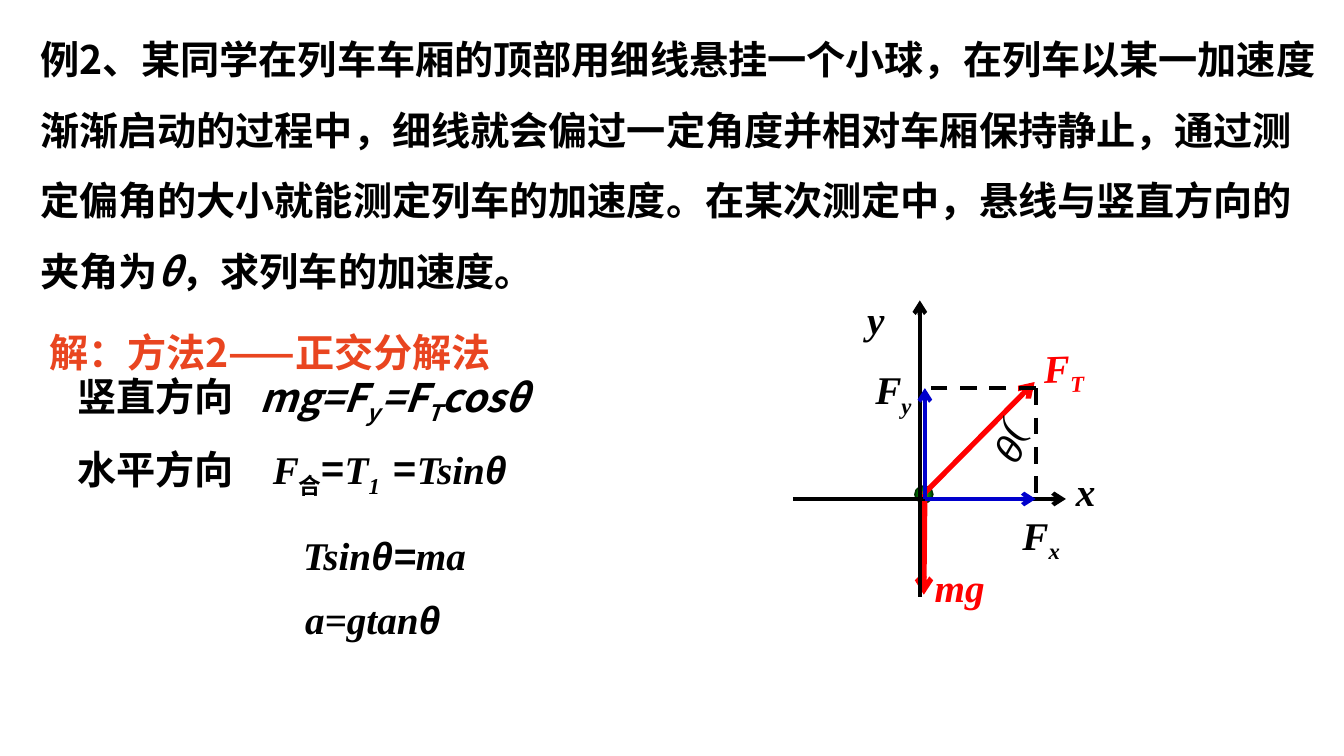
import pptx
import pptx.dml.color
import pptx.enum.dml
import pptx.enum.shapes
import pptx.enum.text
import pptx.oxml
import pptx.oxml.ns
import pptx.util
from lxml import etree

BLACK, RED, BLUE, ORANGE = "000000", "FF0000", "0000CC", "E94520"
HAN, TIMES, ARIAL = "Noto Sans CJK SC", "Times New Roman", "Arial"

deck = pptx.Presentation()
deck.slide_width = pptx.util.Inches(13.34)
deck.slide_height = pptx.util.Inches(7.5)
slide = deck.slides.add_slide(deck.slide_layouts[6])

# Grid of 133.4 columns by 75 rows
COL = deck.slide_width / 133.4
ROW = deck.slide_height / 75


def paint(color_format, hex_color):
    color_format.rgb = pptx.dml.color.RGBColor.from_string(hex_color)


def write(box, runs, color=BLACK, wrap=True, spacing=None, turn=0):
    """Place one paragraph; a run is (text, font, style), with style letters b(old), i(talic), s(ubscript)."""
    left, top, width, height = box
    label = slide.shapes.add_textbox(
        round(left * COL), round(top * ROW), round(width * COL), round(height * ROW))
    label.rotation = turn
    frame = label.text_frame
    frame.word_wrap = wrap
    paragraph = frame.paragraphs[0]
    if spacing:
        paragraph.line_spacing = spacing
        frame.auto_size = pptx.enum.text.MSO_AUTO_SIZE.SHAPE_TO_FIT_TEXT
    for text, font_name, style in runs:
        run = paragraph.add_run()
        run.text = text
        run.font.size = pptx.util.Pt(28)
        run.font.bold = "b" in style
        run.font.italic = "i" in style
        paint(run.font.color, color)
        run.font.name = font_name
        properties = run._r.get_or_add_rPr()
        etree.SubElement(properties, pptx.oxml.ns.qn("a:ea"), typeface=font_name)
        if "s" in style:
            properties.set("baseline", "-25000")


# Problem statement and heading
write((3, 0.7, 129.1, 29.3), [
    ("例2、某同学在列车车厢的顶部用细线悬挂一个小球，在列车以某一加速度渐渐启动的过程中，"
     "细线就会偏过一定角度并相对车厢保持静止，通过测定偏角的大小就能测定列车的加速度。"
     "在某次测定中，悬线与竖直方向的夹角为", HAN, "b"),
    ("θ", HAN, "bi"),
    ("，求列车的加速度。", HAN, "b")], spacing=1.5)
write((3.9, 29.7, 79.3, 8.1), [("解：方法2——正交分解法", HAN, "b")], ORANGE, spacing=1.5)

# Ball at the origin of the axes
ball = slide.shapes.add_shape(
    pptx.enum.shapes.MSO_SHAPE.OVAL,
    round(90.8 * COL), round(48.2 * ROW), round(1.8 * COL), round(1.7 * ROW))
ball.shadow.inherit = False
stops = "".join(f'<a:gs pos="{share * 1000}"><a:srgbClr val="{green}"/></a:gs>'
                for share, green in ((0, "00FF00"), (44, "009900"), (100, "003300")))
ball._element.spPr.prstGeom.addnext(pptx.oxml.parse_xml(
    f'<a:gradFill {pptx.oxml.ns.nsdecls("a")}><a:gsLst>{stops}</a:gsLst><a:path path="shape">'
    '<a:fillToRect l="50000" t="50000" r="50000" b="50000"/></a:path></a:gradFill>'))
paint(ball.line.color, "003300")
ball.line.width = pptx.util.Pt(1)

# Forces, axes, dashed projections and components
origin, corner = (91.8, 49.5), (102.8, 38.5)
foot_x, foot_y = (corner[0], origin[1]), (origin[0], corner[1])
for start, end, color, weight, arrow in (
        ((91.8, 49), (91.7, 59), RED, 3.75, True),
        ((91.7, 49), (102.7, 37.9), RED, 3.75, True),
        ((78.7, 49.5), (105.8, 49.5), BLACK, 3, True),
        ((91.3, 59.2), (91.3, 29.8), BLACK, 3, True),
        (corner, foot_x, BLACK, 3, False),
        (corner, foot_y, BLACK, 3, False),
        (origin, foot_y, BLUE, 3, True),
        (origin, foot_x, BLUE, 3, True)):
    vector = slide.shapes.add_connector(
        pptx.enum.shapes.MSO_CONNECTOR.STRAIGHT,
        round(start[0] * COL), round(start[1] * ROW), round(end[0] * COL), round(end[1] * ROW))
    paint(vector.line.color, color)
    vector.line.width = pptx.util.Pt(weight)
    if arrow:
        etree.SubElement(vector.line._get_or_add_ln(), pptx.oxml.ns.qn("a:tailEnd"), type="arrow")
    else:
        vector.line.dash_style = pptx.enum.dml.MSO_LINE.DASH
    etree.SubElement(vector._element.spPr, pptx.oxml.ns.qn("a:effectLst"))

# Diagram labels
write((91.8, 55.4, 9, 5.7), [("mg", TIMES, "bi")], RED)
write((102.6, 33.6, 7.6, 5.7), [("F", TIMES, "bi"), ("T", TIMES, "bis")], RED, turn=358)
write((85.1, 28.8, 4.3, 5.7), [("y", TIMES, "bi")])
write((105.8, 45.9, 4.3, 5.7), [("x", TIMES, "bi")])
write((100.5, 50.2, 7.1, 5.7), [("F", TIMES, "bi"), ("x", TIMES, "bis")])
write((85.9, 35.8, 6.3, 5.7), [("F", TIMES, "bi"), ("y", TIMES, "bis")])
write((97, 41.8, 6.7, 5.7), [(")", TIMES, "i"), ("θ", ARIAL, "i")], turn=120)

# Solution
write((6.7, 36.4, 31, 5.9), [("竖直方向", HAN, "b")])
write((6.7, 43.7, 25.4, 5.7), [("水平方向", HAN, "b")])
for box, runs in (
        ((24.8, 36.5, 16, 5.7), [("mg=F", HAN, "bi"), ("y", HAN, "bis")]),
        ((36.9, 36.5, 20, 5.7), [("=F", HAN, "bi"), ("T", HAN, "bis"), ("cosθ", HAN, "bi")]),
        ((26.1, 43.7, 17, 5.7), [("F", TIMES, "bi"), ("合", HAN, "bs"), ("=", HAN, "b"),
                                 ("T", TIMES, "bi"), ("1", TIMES, "bis")]),
        ((38.1, 43.7, 17, 5.7), [("=", HAN, "b"), ("Tsin", TIMES, "bi"), ("θ", ARIAL, "bi")]),
        ((29.1, 52.2, 20, 5.7), [("Tsin", TIMES, "bi"), ("θ=", ARIAL, "bi"), ("ma", TIMES, "bi")]),
        ((29.3, 58.6, 17, 5.7), [("a=gtan", TIMES, "bi"), ("θ", ARIAL, "bi")])):
    write(box, runs, wrap=False)

deck.save("out.pptx")
